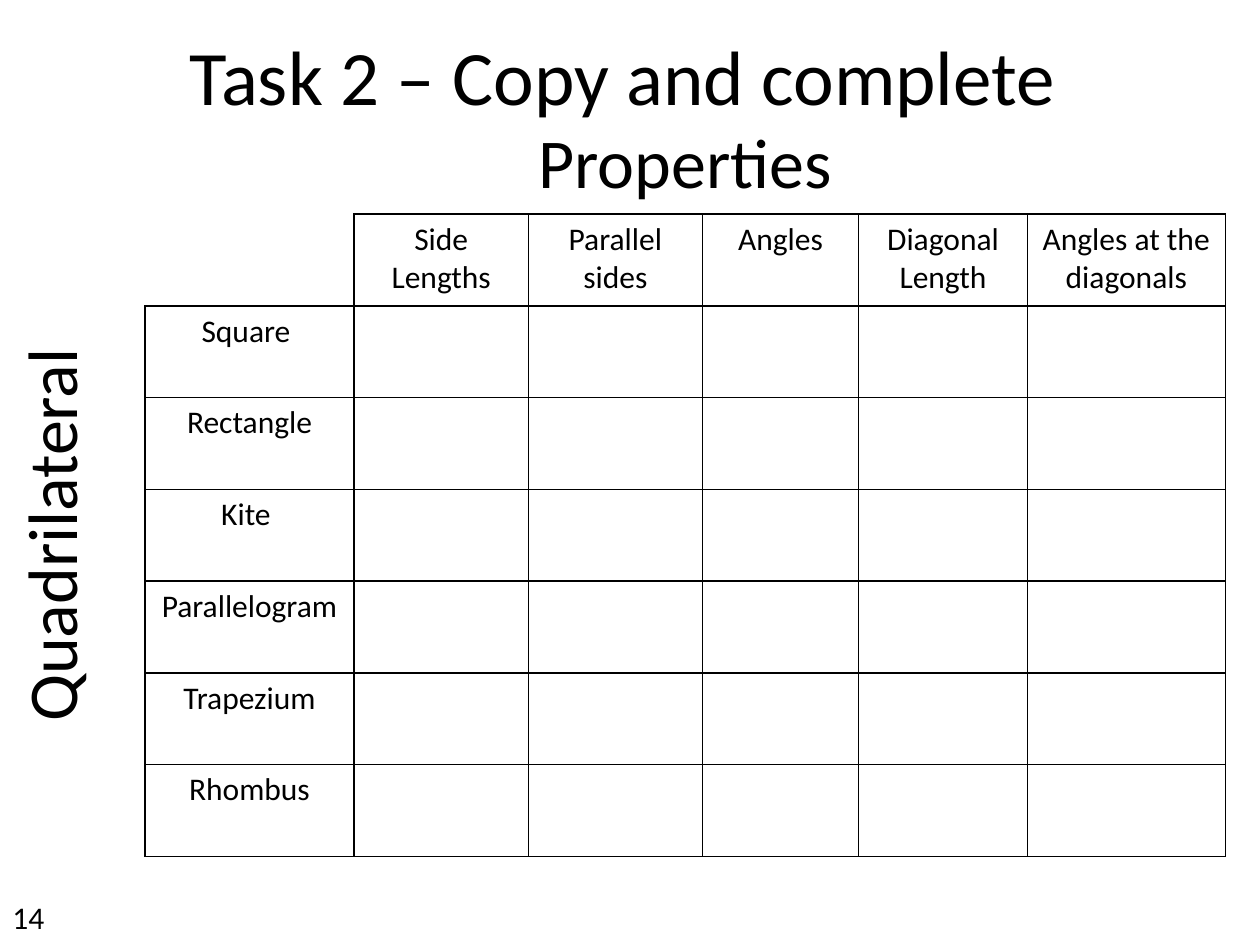
from lxml import etree
from pptx import Presentation
from pptx import util as u
from pptx.dml.color import RGBColor
from pptx.enum import text
from pptx.oxml.ns import qn

BLACK = "000000"
NO_STYLE = "{2D5ABB26-0587-4C30-8999-92F81FD0307C}"


def add_run(p, words, size):
    r = p.add_run()
    r.text = words
    r.font.name = "Calibri"
    r.font.size = u.Pt(size)
    r.font.color.rgb = RGBColor.from_string(BLACK)


def set_borders(cell, sides):
    """Draw 1 pt lines on the named sides (from L, R, T, B), none on the rest."""
    tcPr = cell._tc.get_or_add_tcPr()
    for side in "LRTB":
        ln = etree.SubElement(tcPr, qn(f"a:ln{side}"), w=str(u.Pt(1)))
        if side in sides:
            fill = etree.SubElement(ln, qn("a:solidFill"))
            etree.SubElement(fill, qn("a:srgbClr"), val=BLACK)
        else:
            etree.SubElement(ln, qn("a:noFill"))


prs = Presentation()
prs.slide_width, prs.slide_height = u.Cm(25.4), u.Cm(19.05)
s = prs.slides.add_slide(prs.slide_layouts[5])

# Title
title = s.shapes.title
title.left, title.top = u.Cm(1.3), u.Cm(-0.08)
title.width, title.height = u.Cm(22.86), u.Cm(3.18)
tf = title.text_frame
tf.vertical_anchor = text.MSO_ANCHOR.MIDDLE
p = tf.paragraphs[0]
p.alignment = text.PP_ALIGN.CENTER
add_run(p, "Task 2 – Copy and complete ", 44)

# Table of properties
properties = ["Side Lengths", "Parallel sides", "Angles",
              "Diagonal Length", "Angles at the diagonals"]
quadrilaterals = ["Square ", "Rectangle", "Kite ",
                  "Parallelogram", "Trapezium", "Rhombus"]
widths = [2.82, 4.22, 3.51, 3.51, 3.15, 3.4, 3.99]
row_height = 1.85
n_rows, n_cols = len(quadrilaterals) + 2, len(widths)

frame = s.shapes.add_table(n_rows, n_cols, u.Cm(0.1), u.Cm(2.34),
                           u.Cm(sum(widths)), u.Cm(n_rows * row_height))
table = frame.table
table.first_row = table.horz_banding = False
table._tbl.tblPr.find(qn("a:tableStyleId")).text = NO_STYLE
for column, width in zip(table.columns, widths):
    column.width = u.Cm(width)
for row in table.rows:
    row.height = u.Cm(row_height)

table.cell(0, 1).merge(table.cell(0, n_cols - 1))
table.cell(1, 0).merge(table.cell(n_rows - 1, 0))

labels = {(0, 1): ("Properties", 40), (1, 0): ("Quadrilateral", 40)}
for col, name in enumerate(properties, 2):
    labels[1, col] = (name, 18)
for row, name in enumerate(quadrilaterals, 2):
    labels[row, 1] = (name, 18)

for row in range(n_rows):
    for col in range(n_cols):
        cell = table.cell(row, col)
        if (row, col) == (1, 1):
            set_borders(cell, "RB")
        elif row and col:
            set_borders(cell, "LRTB")
        else:
            set_borders(cell, "")
        cell.fill.background()
        if (row, col) in labels:
            p = cell.text_frame.paragraphs[0]
            p.alignment = text.PP_ALIGN.CENTER
            add_run(p, *labels[row, col])
table.cell(1, 0)._tc.tcPr.set("vert", "vert270")

# Page number
number = s.shapes.add_textbox(0, u.Cm(17.98), u.Cm(1.17), u.Cm(1.02))
tf = number.text_frame
tf.word_wrap = False
tf.auto_size = text.MSO_AUTO_SIZE.SHAPE_TO_FIT_TEXT
add_run(tf.paragraphs[0], "14", 18)

prs.save("out.pptx")
